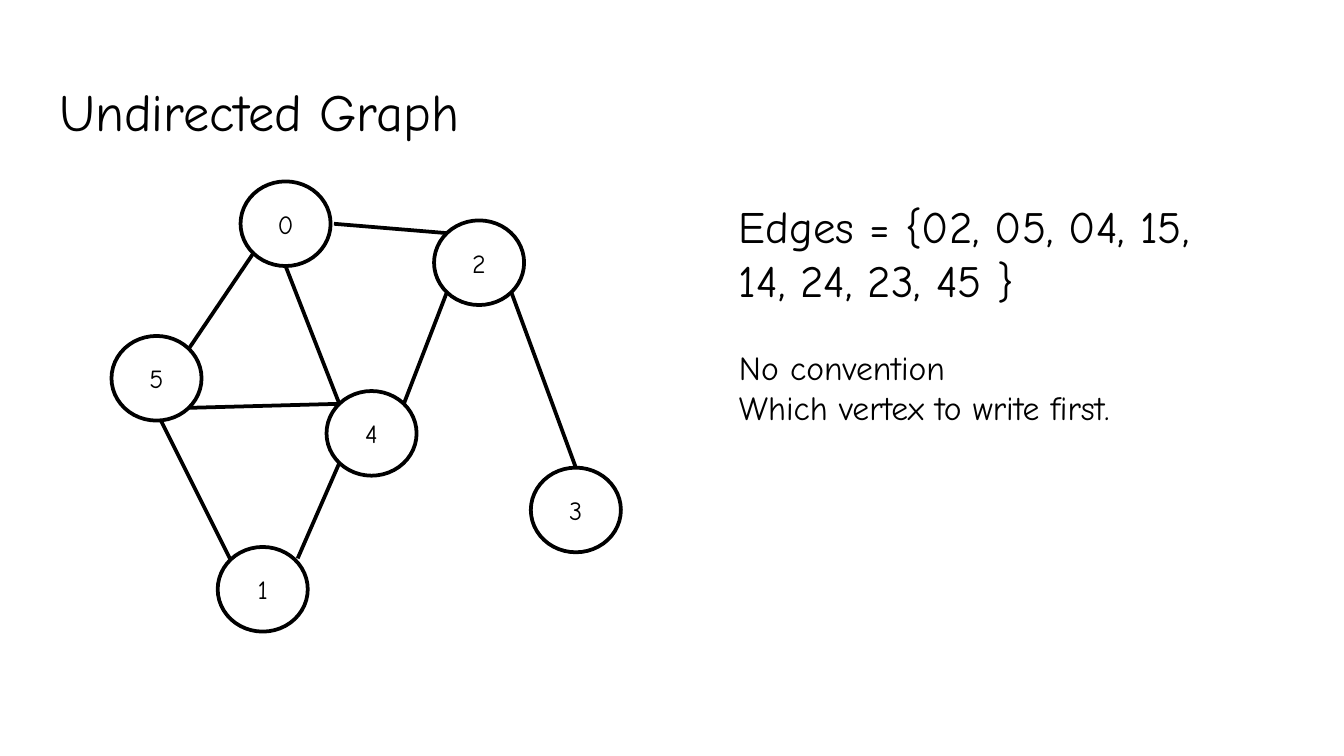
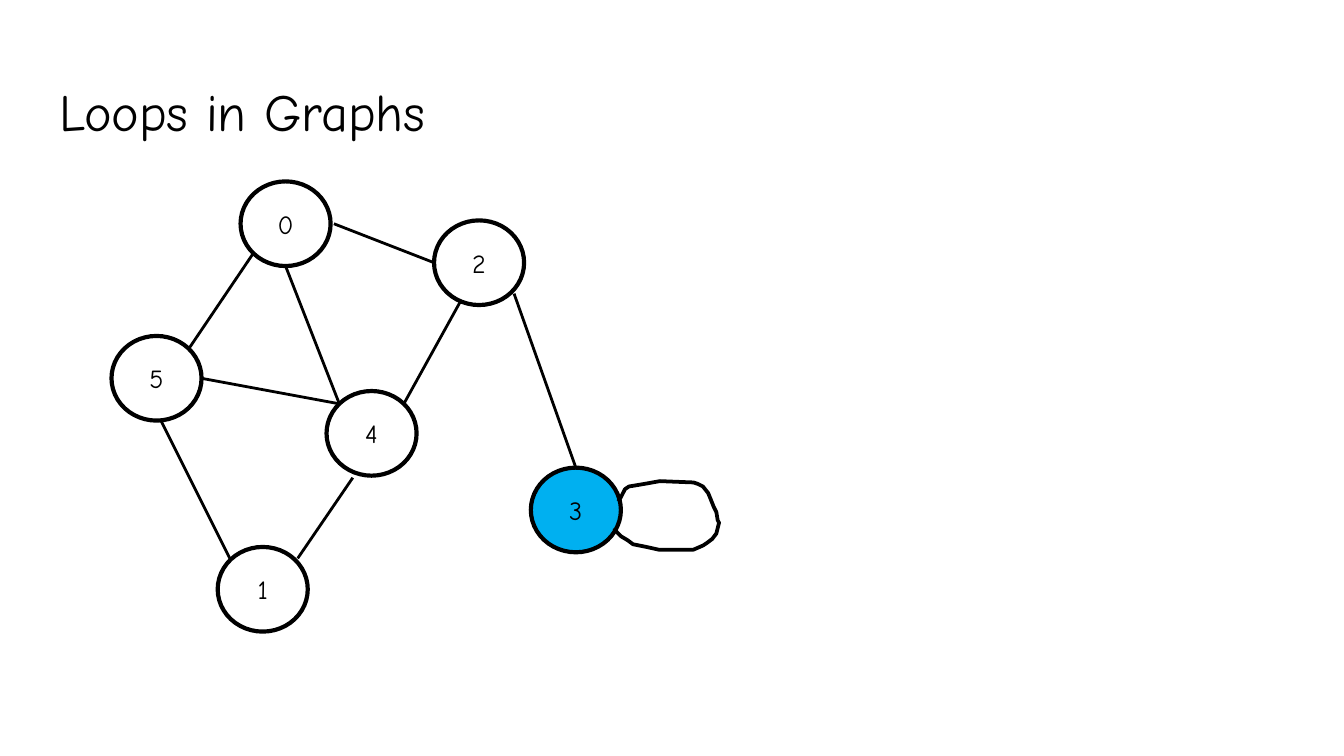
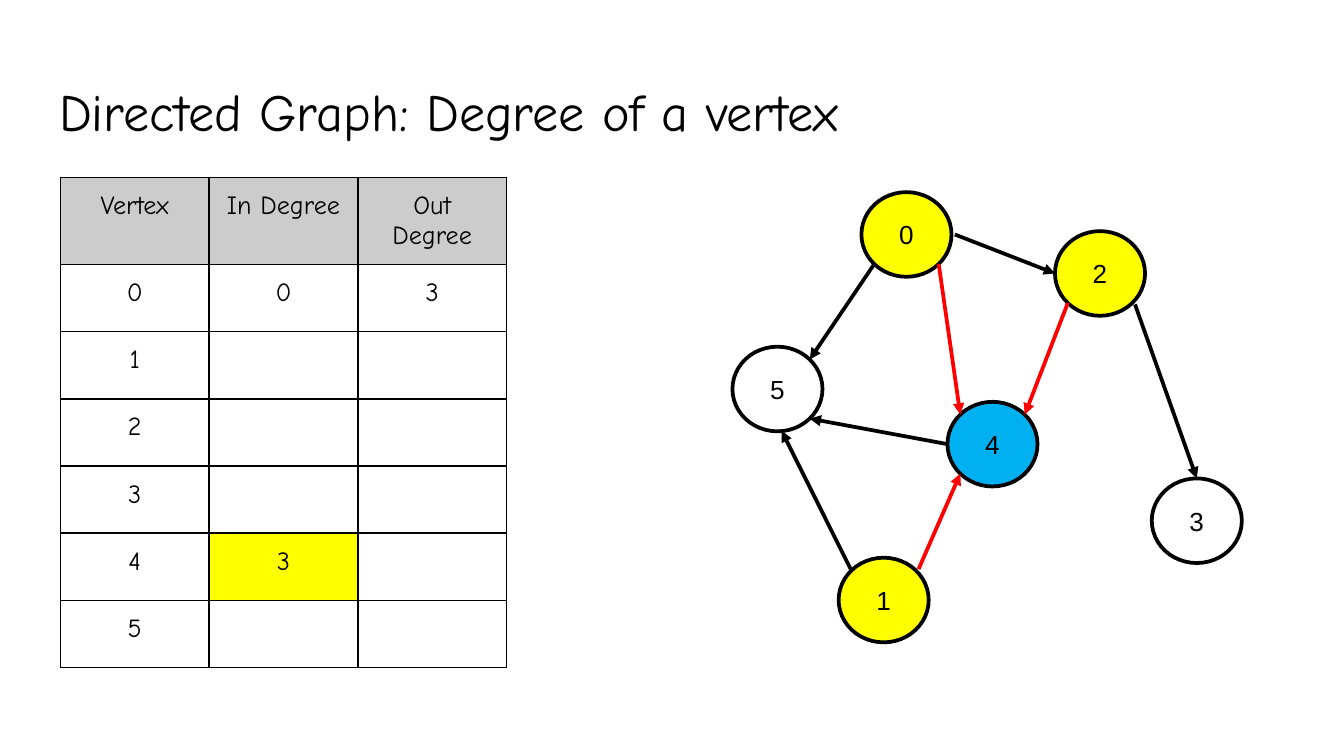
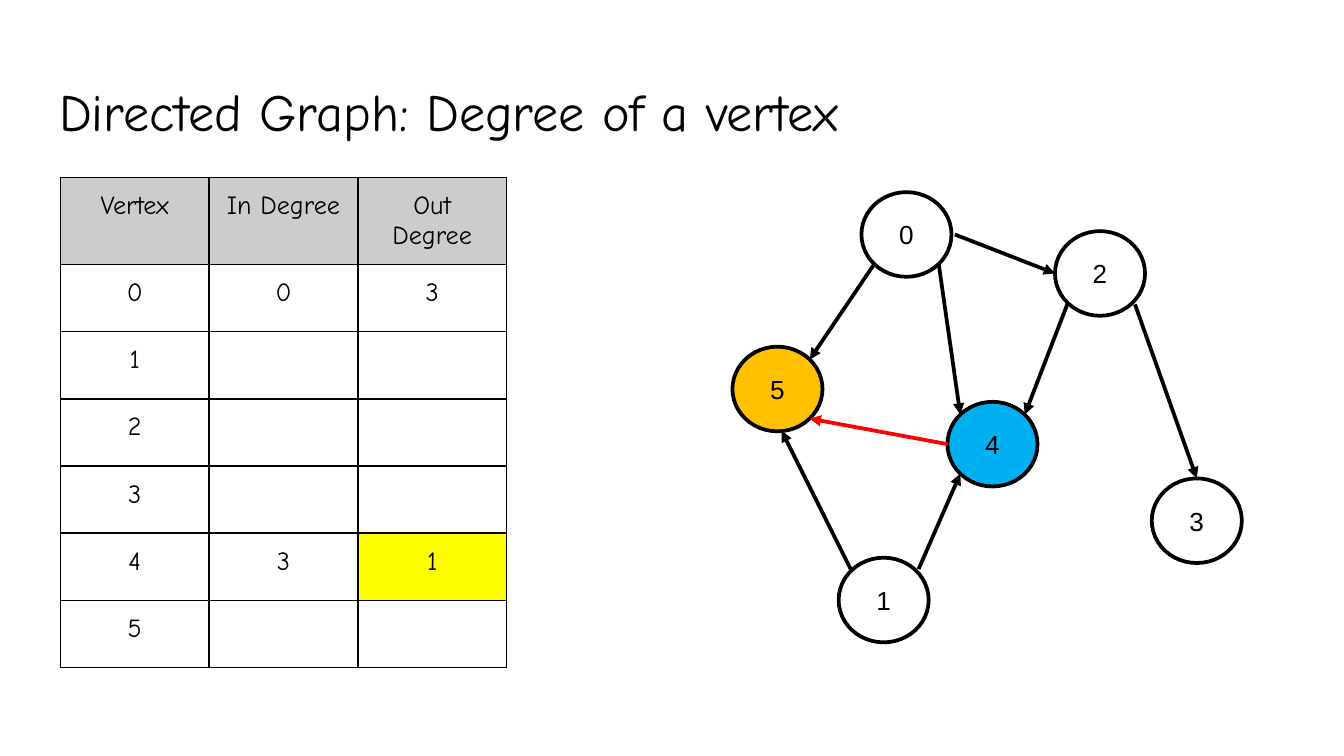
"""Build four slides on undirected graphs, loops and vertex degrees."""
import pptx
import pptx.dml.color
import pptx.enum.shapes
import pptx.enum.text
import pptx.oxml.ns
import pptx.util
from lxml import etree
from pptx.util import Inches

FONT = "Comic Neue"
BLACK, WHITE, GRAY = "000000", "FFFFFF", "CCCCCC"
BLUE, YELLOW, ORANGE, RED = "00B0F0", "FFFF00", "FFC000", "FF0000"

NODE_WIDTH, NODE_HEIGHT = 0.67, 0.63
NODE_PLACES = {
    "0": (1.79, 1.35), "2": (3.23, 1.64), "4": (2.43, 2.91),
    "3": (3.95, 3.48), "1": (1.62, 4.07), "5": (0.83, 2.5),
}
DIRECTED_OFFSET = (4.62, 0.08)

DIAGONAL_X, DIAGONAL_Y = 0.24, 0.22
SITES = {
    "N": (0, -NODE_HEIGHT / 2), "W": (-NODE_WIDTH / 2, 0), "E": (NODE_WIDTH / 2, 0),
    "S": (0, NODE_HEIGHT / 2),
    "NW": (-DIAGONAL_X, -DIAGONAL_Y), "NE": (DIAGONAL_X, -DIAGONAL_Y),
    "SW": (-DIAGONAL_X, DIAGONAL_Y), "SE": (DIAGONAL_X, DIAGONAL_Y),
    "outer E": (0.36, 0), "outer S": (0.03, 0.31), "outer NE": (0.26, -0.23),
    "outer SE": (0.26, 0.23), "low SW": (-0.14, 0.29), "lower SW": (-0.14, 0.33),
}

COMMON_EDGES = [
    ("5", "NE", "0", "SW"), ("0", "S", "4", "NW"), ("5", "outer S", "1", "NW"),
]
UNDIRECTED_EDGES = COMMON_EDGES + [
    ("0", "outer E", "2", "NW"), ("5", "SE", "4", "NW"), ("1", "outer NE", "4", "SW"),
    ("4", "NE", "2", "SW"), ("2", "SE", "3", "N"),
]
LOOP_EDGES = COMMON_EDGES + [
    ("0", "outer E", "2", "W"), ("5", "E", "4", "NW"), ("1", "outer NE", "4", "lower SW"),
    ("4", "NE", "2", "low SW"), ("2", "outer SE", "3", "N"),
]
DIRECTED_EDGES = [
    ("0", "SW", "5", "NE"), ("0", "outer E", "2", "W"), ("0", "SE", "4", "NW"),
    ("4", "W", "5", "SE"), ("1", "NW", "5", "outer S"), ("1", "outer NE", "4", "SW"),
    ("2", "SW", "4", "NE"), ("2", "outer SE", "3", "N"),
]

EDGE_NOTES = [
    ("Edges = {02, 05, 04, 15, 14, 24, 23, 45 }", 24, 0),
    ("No convention", 18, 21.5),
    ("Which vertex to write first.", 18, 0),
]

LOOP_OUTLINE = [
    (4.6, 3.73), (4.62, 3.7), (4.65, 3.64), (4.68, 3.62), (4.74, 3.61), (4.8, 3.6),
    (4.91, 3.58), (5.16, 3.59), (5.19, 3.6), (5.23, 3.62), (5.27, 3.67), (5.29, 3.72),
    (5.31, 3.77), (5.33, 3.81), (5.34, 3.87), (5.35, 3.89), (5.33, 3.97), (5.3, 4.01),
    (5.26, 4.04), (5.23, 4.06), (5.16, 4.09), (4.9, 4.09), (4.81, 4.07), (4.71, 4.05),
    (4.67, 4.02), (4.62, 3.99), (4.59, 3.96), (4.57, 3.93),
]

DEGREE_HEADER = ("Vertex", "In Degree", "Out Degree")
DEGREE_SLIDES = [
    {
        "degrees": {"0": ("0", "3"), "4": ("3", "")},
        "highlighted_cell": ("4", 1),
        "node_fills": {"0": YELLOW, "1": YELLOW, "2": YELLOW, "4": BLUE},
        "red_edges": {("0", "4"), ("1", "4"), ("2", "4")},
    },
    {
        "degrees": {"0": ("0", "3"), "4": ("3", "1")},
        "highlighted_cell": ("4", 2),
        "node_fills": {"4": BLUE, "5": ORANGE},
        "red_edges": {("4", "5")},
    },
]


def color(value):
    """Turn a hex string into a colour."""
    return pptx.dml.color.RGBColor.from_string(value)


def paint(fill, value):
    """Fill with a colour, or leave transparent for None."""
    if value is None:
        fill.background()
    else:
        fill.solid()
        fill.fore_color.rgb = color(value)


def draw_line(line, width, value=BLACK):
    """Give an outline its colour and width."""
    line.color.rgb = color(value)
    line.width = pptx.util.Pt(width)


def format_paragraph(paragraph, size, centered=False, font_name=FONT):
    """Set the alignment and font of one paragraph."""
    alignments = pptx.enum.text.PP_ALIGN
    paragraph.alignment = alignments.CENTER if centered else alignments.LEFT
    for run in paragraph.runs:
        run.font.size = pptx.util.Pt(size)
        run.font.name = font_name
        run.font.color.rgb = color(BLACK)
    if not paragraph.runs:
        etree.SubElement(paragraph._p, pptx.oxml.ns.qn("a:endParaRPr"), sz=str(size * 100))


def set_frame(text_frame, anchor):
    """Set wrapping, anchor and equal margins of a text frame."""
    text_frame.word_wrap = True
    text_frame.auto_size = pptx.enum.text.MSO_AUTO_SIZE.NONE
    text_frame.vertical_anchor = anchor
    text_frame.margin_left = text_frame.margin_right = Inches(0.1)
    text_frame.margin_top = text_frame.margin_bottom = Inches(0.1)


def add_titled_slide(presentation, title):
    """Add a slide with the shared title style."""
    slide = presentation.slides.add_slide(presentation.slide_layouts[5])
    shape = slide.shapes.title
    shape.left, shape.top = Inches(0.34), Inches(0.49)
    shape.width, shape.height = Inches(9.32), Inches(0.63)
    set_frame(shape.text_frame, pptx.enum.text.MSO_ANCHOR.TOP)
    shape.text_frame.text = title
    format_paragraph(shape.text_frame.paragraphs[0], 28)
    return slide


def add_node(slide, label, left, top, fill, line_width, font_name):
    """Draw one vertex of a graph."""
    shape = slide.shapes.add_shape(
        pptx.enum.shapes.MSO_SHAPE.FLOWCHART_CONNECTOR,
        Inches(left), Inches(top), Inches(NODE_WIDTH), Inches(NODE_HEIGHT))
    shape.shadow.inherit = False
    paint(shape.fill, fill)
    draw_line(shape.line, line_width)
    set_frame(shape.text_frame, pptx.enum.text.MSO_ANCHOR.MIDDLE)
    shape.text_frame.text = label
    format_paragraph(shape.text_frame.paragraphs[0], 14, True, font_name)


def add_edge(slide, start, end, width, value, arrow):
    """Draw one edge between two points."""
    connector = slide.shapes.add_connector(
        pptx.enum.shapes.MSO_CONNECTOR.STRAIGHT, *map(Inches, start + end))
    draw_line(connector.line, width, value)
    if arrow:
        line = connector.line._get_or_add_ln()
        etree.SubElement(line, pptx.oxml.ns.qn("a:tailEnd"), type="triangle")
    properties = connector._element.spPr
    etree.SubElement(properties, pptx.oxml.ns.qn("a:effectLst"))


def add_graph(slide, edges, node_fills, default_fill=WHITE, offset=(0, 0), node_line=2,
              edge_line=2, font_name=FONT, arrow=False, red_edges=()):
    """Draw all vertices and edges of a graph."""
    def site_point(label, site):
        left, top = NODE_PLACES[label]
        dx, dy = SITES[site]
        return (left + offset[0] + NODE_WIDTH / 2 + dx, top + offset[1] + NODE_HEIGHT / 2 + dy)

    for label, (left, top) in NODE_PLACES.items():
        add_node(slide, label, left + offset[0], top + offset[1],
                 node_fills.get(label, default_fill), node_line, font_name)
    for source, source_site, target, target_site in edges:
        value = RED if (source, target) in red_edges else BLACK
        add_edge(slide, site_point(source, source_site), site_point(target, target_site),
                 edge_line, value, arrow)


def add_edge_notes(slide):
    """Write the edge set beside the graph."""
    shape = slide.shapes.add_shape(
        pptx.enum.shapes.MSO_SHAPE.RECTANGLE,
        Inches(5.4), Inches(1.38), Inches(3.95), Inches(1.99))
    shape.shadow.inherit = False
    paint(shape.fill, WHITE)
    shape.line.fill.background()
    set_frame(shape.text_frame, pptx.enum.text.MSO_ANCHOR.TOP)
    shape.text_frame.text = "\n".join(text for text, size, space in EDGE_NOTES)
    for paragraph, (text, size, space) in zip(shape.text_frame.paragraphs, EDGE_NOTES):
        paragraph.space_before = pptx.util.Pt(space)
        format_paragraph(paragraph, size)


def add_loop(slide):
    """Draw the hand-drawn loop at vertex 3."""
    points = [(Inches(x), Inches(y)) for x, y in LOOP_OUTLINE]
    builder = slide.shapes.build_freeform(*points[0])
    builder.add_line_segments(points[1:], close=False)
    shape = builder.convert_to_shape()
    shape.shadow.inherit = False
    paint(shape.fill, None)
    draw_line(shape.line, 2)


def add_borders(cell):
    """Give a cell thin black borders on all sides."""
    properties = cell._tc.get_or_add_tcPr()
    for side in ("lnL", "lnR", "lnT", "lnB"):
        border = etree.SubElement(
            properties, pptx.oxml.ns.qn("a:" + side), w=str(pptx.util.Pt(1)))
        fill = etree.SubElement(border, pptx.oxml.ns.qn("a:solidFill"))
        etree.SubElement(fill, pptx.oxml.ns.qn("a:srgbClr"), val=BLACK)


def add_degree_table(slide, degrees, highlighted_cell):
    """Tabulate the in and out degree of each vertex."""
    vertices = sorted(NODE_PLACES)
    rows = [DEGREE_HEADER] + [(label, *degrees.get(label, ("", ""))) for label in vertices]
    table = slide.shapes.add_table(
        len(rows), len(DEGREE_HEADER), Inches(0.45), Inches(1.32),
        Inches(3.32), Inches(0.5 * len(rows))).table
    table.first_row = table.horz_banding = False
    for row, texts in zip(table.rows, rows):
        row.height = Inches(0.5)
        for column, (cell, text) in enumerate(zip(row.cells, texts)):
            cell.margin_left = cell.margin_right = Inches(0.1)
            cell.margin_top = cell.margin_bottom = Inches(0.1)
            cell.text_frame.text = text
            format_paragraph(cell.text_frame.paragraphs[0], 14, True)
            add_borders(cell)
            if texts == DEGREE_HEADER:
                paint(cell.fill, GRAY)
            else:
                paint(cell.fill, YELLOW if (texts[0], column) == highlighted_cell else None)


def main():
    """Build and save the presentation."""
    presentation = pptx.Presentation()
    presentation.slide_width = Inches(10)
    presentation.slide_height = Inches(10) * 9 // 16

    slide = add_titled_slide(presentation, "Undirected Graph")
    add_edge_notes(slide)
    add_graph(slide, UNDIRECTED_EDGES, {})

    slide = add_titled_slide(presentation, "Loops in Graphs")
    add_graph(slide, LOOP_EDGES, {"3": BLUE}, default_fill=None, node_line=2.25, edge_line=1.5)
    add_loop(slide)

    for content in DEGREE_SLIDES:
        slide = add_titled_slide(presentation, "Directed Graph: Degree of a vertex")
        add_graph(slide, DIRECTED_EDGES, content["node_fills"], offset=DIRECTED_OFFSET,
                  font_name="Arial", arrow=True, red_edges=content["red_edges"])
        add_degree_table(slide, content["degrees"], content["highlighted_cell"])

    presentation.save("out.pptx")


if __name__ == "__main__":
    main()
